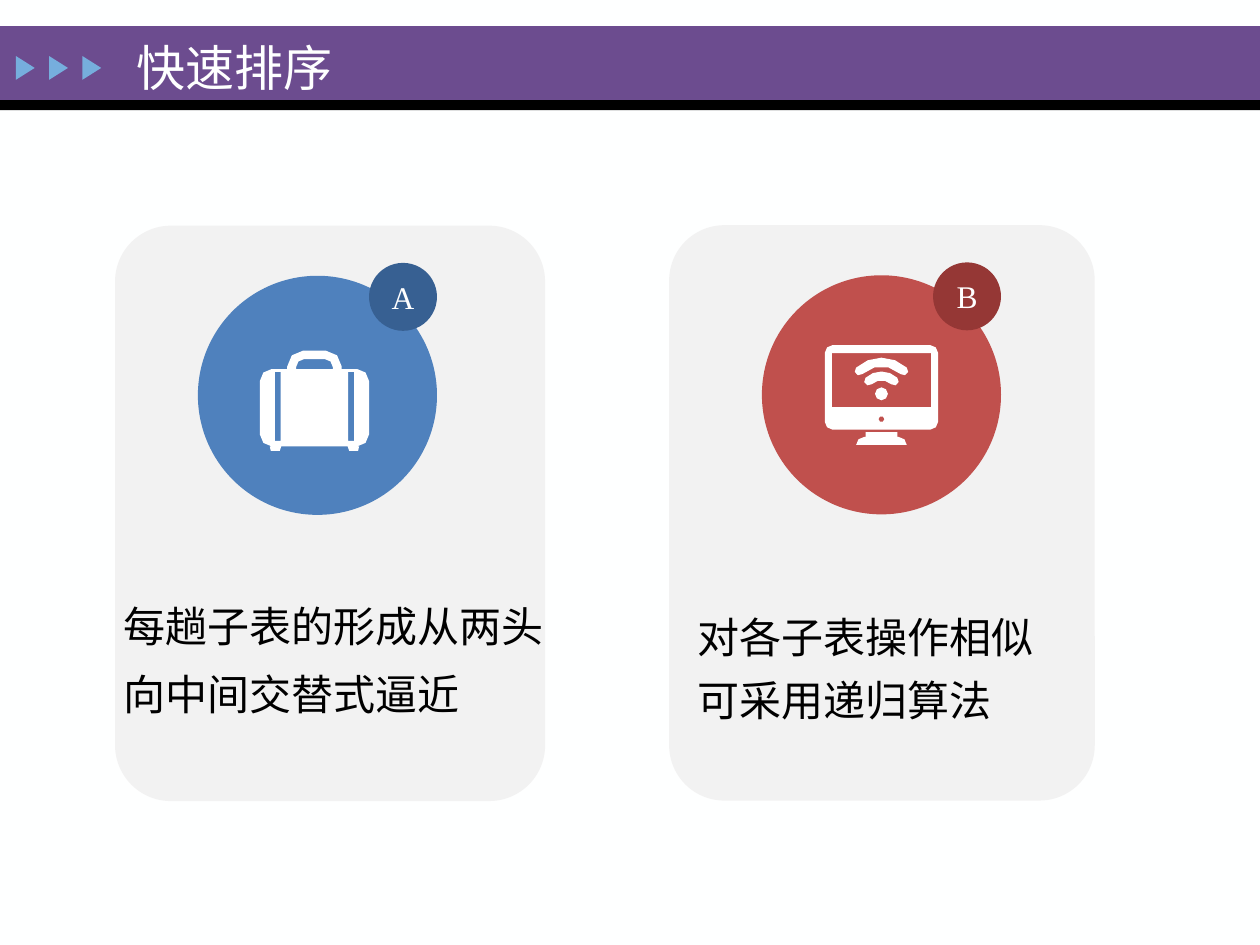
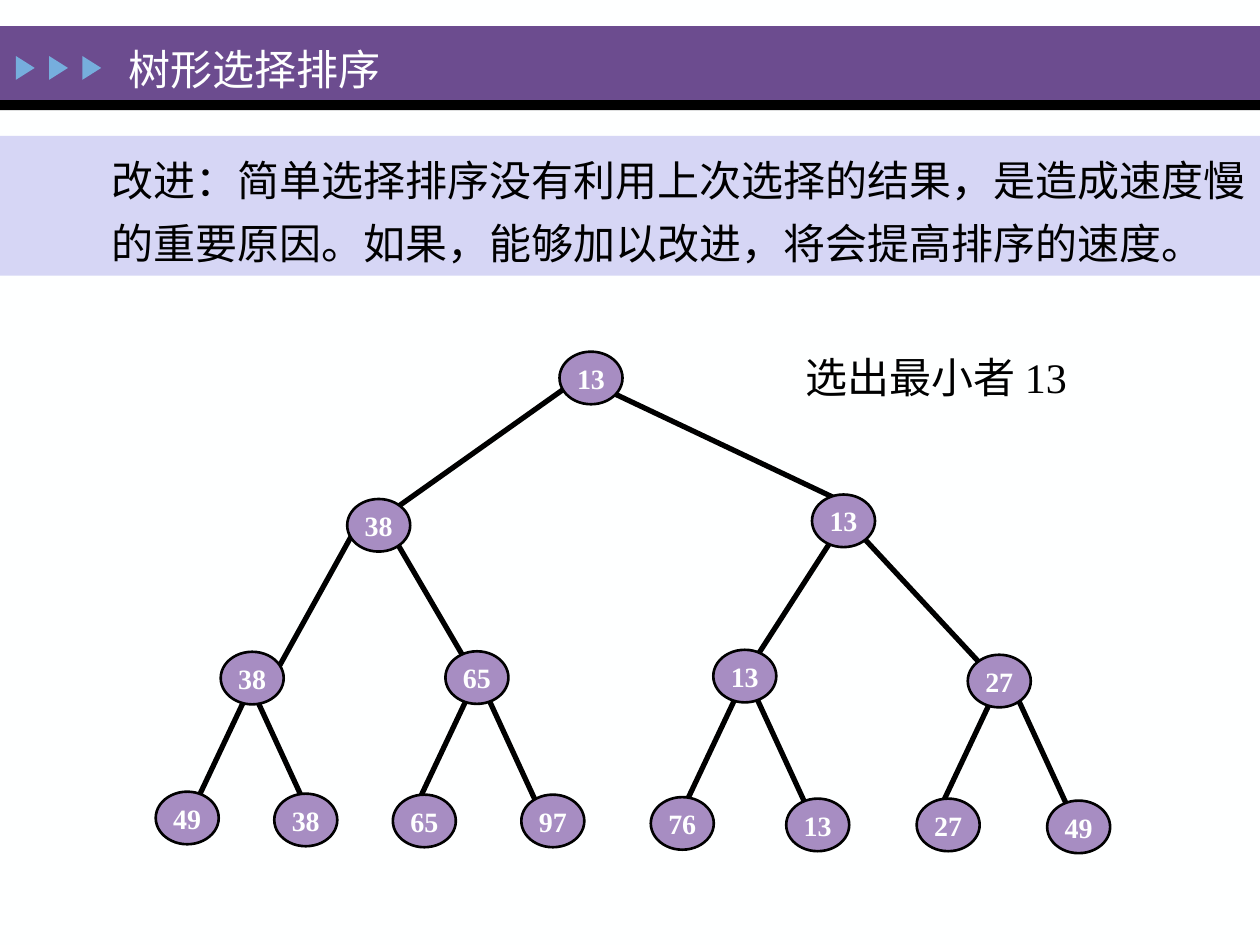
from dataclasses import dataclass
from math import cos, hypot, radians, sin

from lxml import etree
from pptx import Presentation
from pptx import util as u
from pptx.dml.color import RGBColor
from pptx.enum import shapes, text
from pptx.oxml.ns import qn

Kind = shapes.MSO_SHAPE
Align = text.PP_ALIGN
Mid = text.MSO_ANCHOR.MIDDLE
Point = tuple[float, float]
Corner = tuple[float, float, float]  # x, y, radius

WIDE, HIGH = 25.4, 19.05
FACE = "Times New Roman"
PAPER, BLACK, WHITE = "FEFFFF", "000000", "FFFFFF"
PURPLE, ARROW, PANEL, NOTE, LILAC = "6C4C8F", "76AEDD", "F2F2F2", "D6D6F5", "A78DC2"


@dataclass
class Box:
    left: float
    top: float
    width: float
    height: float

    def size(self) -> list[int]:
        return [u.Cm(v) for v in (self.left, self.top, self.width, self.height)]


@dataclass
class Style:
    size: float
    color: str = BLACK
    bold: bool = False
    align: Align = Align.LEFT
    line: float = 1.0


@dataclass
class Card:
    panel: Box
    disc: Point
    fill: str
    dark: str
    letter: str
    label: Box
    words: str
    line: float


@dataclass
class Node:
    value: int
    left: float
    top: float


CARDS = [
    Card(Box(2.32, 4.55, 8.67, 11.6), (3.99, 5.56), "4F81BD", "376092", "A",
         Box(2.49, 10.69, 8.59, 4.85), "每趟子表的形成从两头\n向中间交替式逼近", 1.35),
    Card(Box(13.49, 4.54, 8.58, 11.6), (15.36, 5.55), "C0504D", "953735", "B",
         Box(14.07, 10.82, 8, 5.05), "对各子表操作相似\n可采用递归算法", 1.25),
]

NODES = [
    Node(38, 5.53, 16), Node(13, 15.85, 16.1), Node(76, 13.12, 16.07),
    Node(27, 18.48, 16.1), Node(65, 7.92, 16.02), Node(49, 3.14, 15.96),
    Node(97, 10.51, 16.02), Node(49, 21.11, 16.14),
    Node(38, 4.45, 13.14), Node(65, 8.98, 13.13), Node(13, 14.38, 13.1),
    Node(27, 19.51, 13.2), Node(13, 16.37, 9.97), Node(38, 7, 10.06),
    Node(13, 11.28, 7.09),
]

EDGES = [
    ((11.99, 7.75), (17.25, 10.24)), ((11.68, 7.62), (7.49, 10.59)),
    ((7.37, 10.29), (5.33, 13.97)), ((16.99, 10.54), (14.91, 13.77)),
    ((17.2, 10.62), (20.22, 13.87)), ((7.87, 10.72), (9.5, 13.51)),
]
# Every edge down to a leaf has the same slope on its side.
TWIGS = [
    ((-1.53, 3.24), [(15.09, 13.51), (20.19, 13.67), (9.73, 13.41), (5.21, 13.51)]),
    ((1.35, 2.93), [(20.35, 13.72), (15.04, 13.61), (9.78, 13.94), (4.95, 13.61)]),
]


def tint(code: str) -> RGBColor:
    return RGBColor.from_string(code)


def paint(shape, fill: str, edge: str = "", width: float = 0) -> None:
    shape.shadow.inherit = False
    shape.fill.solid()
    shape.fill.fore_color.rgb = tint(fill)
    if edge:
        shape.line.color.rgb = tint(edge)
        shape.line.width = u.Pt(width)
    else:
        shape.line.fill.background()


def draw(slide, kind: Kind, box: Box, fill: str, edge: str = "", width: float = 0):
    shape = slide.shapes.add_shape(kind, *box.size())
    paint(shape, fill, edge, width)
    return shape


def write(shape, words: str, style: Style, wrap: bool = True):
    frame = shape.text_frame
    frame.text = words
    frame.word_wrap = wrap
    for par in frame.paragraphs:
        par.alignment = style.align
        par.line_spacing = style.line
        for run in par.runs:
            run.font.name = FACE
            run.font.size = u.Pt(style.size)
            run.font.bold = style.bold
            run.font.color.rgb = tint(style.color)
    return frame


def label(slide, box: Box, words: str, style: Style, wrap: bool = True):
    return write(slide.shapes.add_textbox(*box.size()), words, style, wrap)


def link(slide, start: Point, end: Point) -> None:
    ends = [u.Cm(v) for v in (*start, *end)]
    line = slide.shapes.add_connector(shapes.MSO_CONNECTOR.STRAIGHT, *ends)
    line.line.color.rgb = tint(BLACK)
    line.line.width = u.Pt(3)
    etree.SubElement(line._element.spPr, qn("a:effectLst"))


def bend(corners: list[Corner], steps: int = 2) -> list[Point]:
    """Turn corners with radii into a smooth closed outline."""
    points = []
    for i, (x, y, rad) in enumerate(corners):
        if not rad:
            points.append((x, y))
            continue
        sides = []
        for px, py, _ in (corners[i - 1], corners[(i + 1) % len(corners)]):
            span = hypot(px - x, py - y)
            sides.append(((px - x) * rad / span, (py - y) * rad / span))
        (ax, ay), (bx, by) = sides
        for k in range(steps + 1):
            t = k / steps
            fore = (1 - t) ** 3 + 1.35 * t * (1 - t) ** 2
            aft = t ** 3 + 1.35 * t ** 2 * (1 - t)
            points.append((x + ax * fore + bx * aft, y + ay * fore + by * aft))
    return points


def block(left: float, top: float, right: float, base: float, rad: float = 0) -> list[Point]:
    return bend([(left, top, rad), (right, top, rad), (right, base, rad), (left, base, rad)])


def twin(half: list[Corner]) -> list[Point]:
    """Close a left half with its mirror image."""
    return bend(half + [(-x, y, rad) for x, y, rad in reversed(half)])


def arc(x: float, y: float, rad: float, start: float, end: float, steps: int) -> list[Point]:
    """Sample an arc from its start up to, but without, its end."""
    turns = [radians(start + (end - start) * k / steps) for k in range(steps)]
    return [(x + rad * cos(a), y + rad * sin(a)) for a in turns]


def wave(y: float, rad: float, thick: float = 0.09, start: float = 227, end: float = 313) -> list[Point]:
    """Outline a bent bar with round ends."""
    tips = [(rad * cos(radians(a)), y + rad * sin(radians(a))) for a in (start, end)]
    return (arc(0, y, rad + thick, start, end, 4) + arc(*tips[1], thick, end, end + 180, 3)
            + arc(0, y, rad - thick, end, start, 3) + arc(*tips[0], thick, start + 180, start + 360, 3))


def icon(slide, mid: float, *rings: list[Point]) -> None:
    """Draw a white outline around x = mid; later rings are holes."""
    paths = [[(u.Cm(mid + x), u.Cm(y)) for x, y in ring] for ring in rings]
    pen = slide.shapes.build_freeform(*paths[0][0])
    for i, path in enumerate(paths):
        if i:
            pen.move_to(*path[0])
        pen.add_line_segments(path[1:], close=True)
    paint(pen.convert_to_shape(), WHITE)


def bag(slide) -> None:
    shell = twin([(-0.67, 9, 0), (-0.7, 9.09, 0), (-0.88, 9.09, 0), (-0.9, 9, 0),
                  (-1.1, 9, 0.24), (-1.1, 7.44, 0.24), (-0.55, 7.44, 0), (-0.55, 7.07, 0.32)])
    grip = twin([(-0.37, 7.44, 0), (-0.37, 7.24, 0.16)])
    slots = [block(x, 7.5, x + 0.12, 8.89) for x in (-0.8, 0.68)]
    icon(slide, 6.34, shell, grip, *slots)


def screen(slide) -> None:
    mid = 17.77
    icon(slide, mid, twin([(-0.51, 8.97, 0), (-0.51, 8.81, 0.16), (-0.32, 8.81, 0), (-0.32, 8.71, 0)]))
    icon(slide, mid, block(-1.14, 6.96, 1.14, 8.66, 0.15),
         block(-1, 7.12, 1, 8.21), arc(0, 8.45, 0.06, 0, 360, 6))
    for rad in (0.38, 0.66):
        icon(slide, mid, wave(7.96, rad))
    icon(slide, mid, arc(0, 7.94, 0.13, 0, 360, 8))


def start(deck):
    slide = deck.slides.add_slide(deck.slide_layouts[6])
    slide.background.fill.solid()
    slide.background.fill.fore_color.rgb = tint(PAPER)
    draw(slide, Kind.RECTANGLE, Box(0, 0.53, WIDE, 1.5), PURPLE)
    draw(slide, Kind.RECTANGLE, Box(0, 2.02, WIDE, 0.2), BLACK)
    for i in range(3):
        mark = draw(slide, Kind.ISOSCELES_TRIANGLE, Box(0.27 + 0.67 * i, 1.18, 0.48, 0.38), ARROW)
        mark.rotation = 90
    return slide


def show(slide, card: Card) -> None:
    panel = draw(slide, Kind.ROUNDED_RECTANGLE, card.panel, PANEL)
    panel.adjustments[0] = 0.13
    x, y = card.disc
    draw(slide, Kind.OVAL, Box(x, y, 4.82, 4.82), card.fill)
    badge = draw(slide, Kind.OVAL, Box(x + 3.45, y - 0.26, 1.37, 1.37), card.dark)
    write(badge, card.letter, Style(18, WHITE, align=Align.CENTER)).vertical_anchor = Mid
    frame = label(slide, card.label, card.words, Style(24, line=card.line), wrap=False)
    frame.vertical_anchor = Mid
    frame.margin_left = frame.margin_top = frame.margin_right = frame.margin_bottom = 0


def quick(deck) -> None:
    slide = start(deck)
    label(slide, Box(2.5, 0.63, 6.78, 1.47), "快速排序", Style(28, PAPER))
    for card, sign in zip(CARDS, (bag, screen)):
        show(slide, card)
        sign(slide)


def tree(deck) -> None:
    slide = start(deck)
    for head, tail in EDGES:
        link(slide, head, tail)
    for (dx, dy), heads in TWIGS:
        for x, y in heads:
            link(slide, (x, y), (x + dx, y + dy))
    note = draw(slide, Kind.RECTANGLE, Box(0, 2.74, WIDE, 2.82), NOTE)
    frame = write(note, "改进：简单选择排序没有利用上次选择的结果，是造成速度慢的重要原因。"
                  "如果，能够加以改进，将会提高排序的速度。", Style(24, line=1.25))
    frame.vertical_anchor = text.MSO_ANCHOR.TOP
    frame.margin_left = u.Cm(2.24)
    for node in NODES:
        ball = draw(slide, Kind.OVAL, Box(node.left, node.top, 1.27, 1.06), LILAC, BLACK, 1.5)
        style = Style(16, PAPER, True, Align.CENTER)
        write(ball, str(node.value), style, wrap=False).vertical_anchor = Mid
    label(slide, Box(15.99, 6.97, 7.04, 1.27), "选出最小者 13", Style(24))
    label(slide, Box(2.34, 0.49, 9.53, 1.47), "树形选择排序", Style(24, PAPER, line=1.25))


def main() -> None:
    deck = Presentation()
    deck.slide_width, deck.slide_height = u.Cm(WIDE), u.Cm(HIGH)
    quick(deck)
    tree(deck)
    deck.save("out.pptx")


if __name__ == "__main__":
    main()
